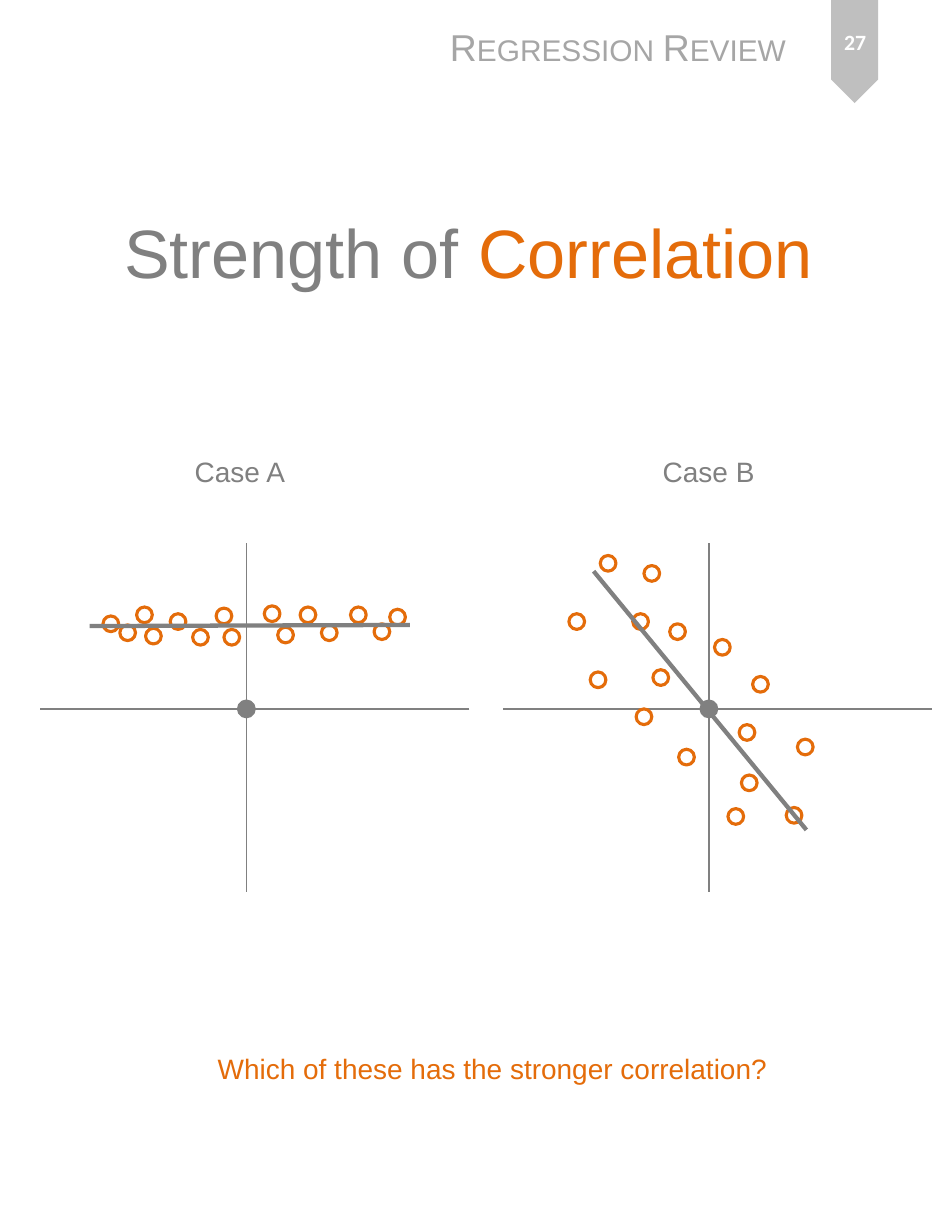
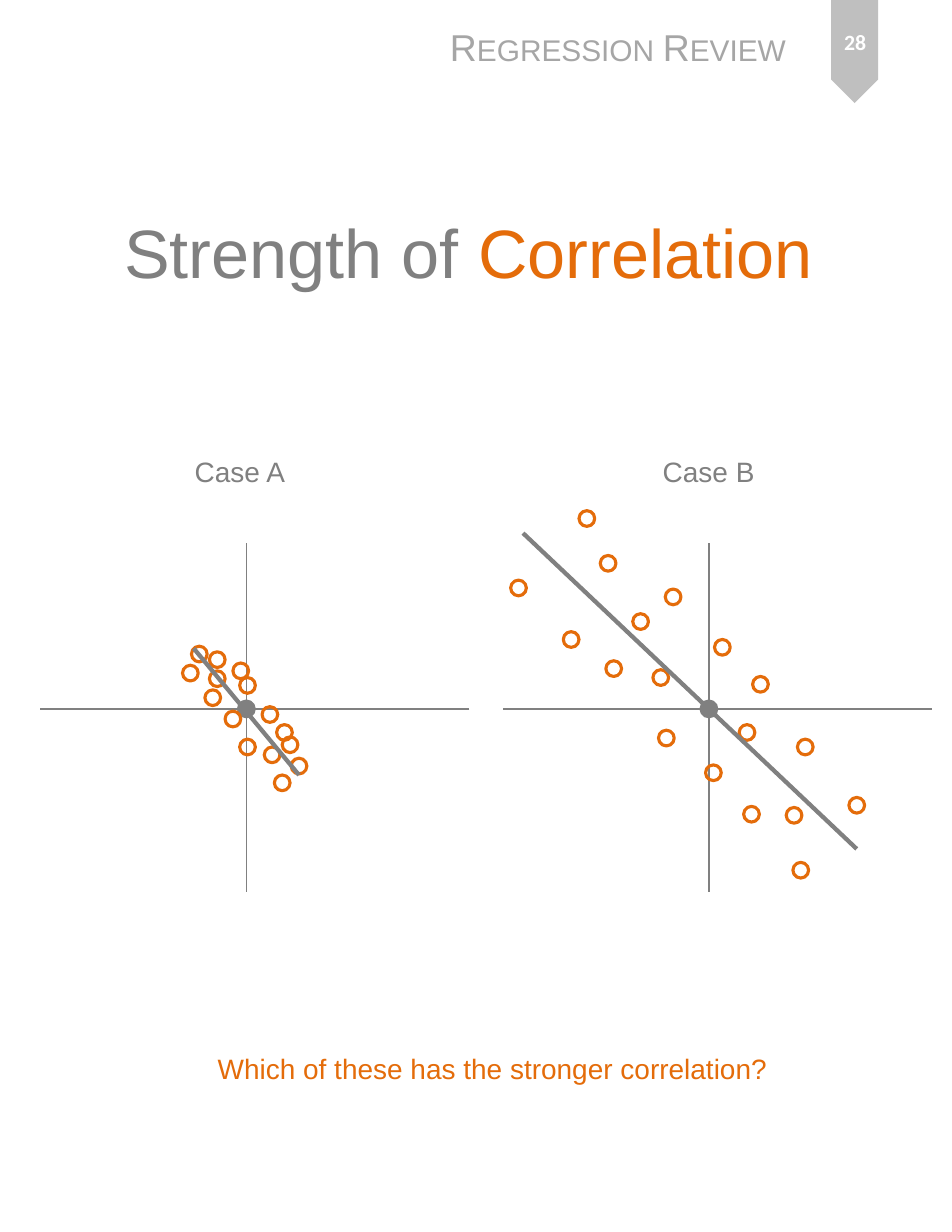
import dataclasses

import pptx
import pptx.dml.color
import pptx.enum.shapes
import pptx.enum.text
import pptx.oxml.ns
import pptx.util
from lxml import etree

Pt = pptx.util.Pt
SHAPE = pptx.enum.shapes.MSO_SHAPE
ALIGN = pptx.enum.text.PP_ALIGN
ANCHOR = pptx.enum.text.MSO_ANCHOR
FIT = pptx.enum.text.MSO_AUTO_SIZE


@dataclasses.dataclass(frozen=True)
class Theme:
    gray: str = "808080"
    orange: str = "E46C0A"
    header_gray: str = "A6A6A6"
    ribbon_gray: str = "BFBFBF"
    white: str = "FFFFFF"
    body_font: str = "Arial"
    number_font: str = "Calibri"
    title_size: float = 44
    header_size: float = 24
    label_size: float = 18
    number_size: float = 14
    axis_width: float = 0.75
    dot_width: float = 2
    trend_width: float = 2.75


UNIT = 0.72
DOT = 14
ORIGIN_Y = 455.76
AXES = [((0, 148), (0, -163)), ((199, 0), (-184, 0))]
CASES = [
    {"name": "Case A", "origin_x": 158.4, "label_box": (118.1, 288.7, 73.4, 28.8)},
    {"name": "Case B", "origin_x": 455.76, "label_box": (419, 288.7, 74.2, 28.8)},
]

SHARED_B = [(12, 55), (46, 22), (86, -34), (34, -21), (76, -95), (-43, 28),
            (-61, 78), (-90, 130)]
PAGES = {
    "27": [
        {"dots": [(-13, 64), (-41, 64), (100, 84), (35, 66), (23, 85), (-20, 83),
                  (-83, 65), (135, 82), (55, 84), (121, 69), (-106, 68), (-91, 84),
                  (-61, 78), (-121, 76), (74, 68)],
         "trend": ((-140, 74), (146, 75))},
        {"dots": SHARED_B + [(-20, -43), (-58, -7), (-99, 26), (-28, 69), (36, -66),
                             (-118, 78), (24, -96), (-51, 121)],
         "trend": ((-103, 123), (87, -108))},
    ],
    "28": [
        {"dots": [(-5, 34), (1, 21), (32, -66), (1, -34), (-12, -9), (-30, 10),
                  (-42, 49), (34, -21), (23, -41), (39, -32), (-26, 27), (-50, 32),
                  (21, -5), (-26, 44), (47, -51)],
         "trend": ((-47, 54), (47, -59))},
        {"dots": SHARED_B + [(-38, -26), (-85, 36), (-123, 62), (-32, 100), (4, -57),
                             (-170, 108), (38, -94), (-109, 170), (82, -144),
                             (132, -86)],
         "trend": ((-166, 157), (132, -125))},
    ],
}


def rgb(color):
    return pptx.dml.color.RGBColor.from_string(color)


def apply(target, **values):
    for name, value in values.items():
        setattr(target, name, value)


class Deck:
    """Holds the theme and the current slide, and draws each kind of element."""

    def __init__(self, theme):
        self.theme = theme
        self.presentation = pptx.Presentation()
        apply(self.presentation, slide_width=Pt(612), slide_height=Pt(792))
        self.slide = None

    def new_slide(self):
        blank = self.presentation.slide_layouts[6]
        self.slide = self.presentation.slides.add_slide(blank)

    def text(self, box, runs, size, font=None, align=ALIGN.LEFT, anchor=ANCHOR.TOP,
             wrap=True, fit=FIT.NONE, bold=False, small_caps=False):
        frame = self.slide.shapes.add_textbox(*map(Pt, box)).text_frame
        apply(frame, word_wrap=wrap, auto_size=fit, vertical_anchor=anchor)
        paragraph = frame.paragraphs[0]
        paragraph.alignment = align
        for words, color in runs:
            run = paragraph.add_run()
            run.text = words
            apply(run.font, name=font or self.theme.body_font, size=Pt(size), bold=bold)
            run.font.color.rgb = rgb(color)
            if small_caps:
                run.font._element.set("cap", "small")

    def shape(self, kind, box, fill=None, line=None, width=0, rotation=0):
        shape = self.slide.shapes.add_shape(kind, *map(Pt, box))
        shape.shadow.inherit = False
        shape.rotation = rotation
        if fill:
            shape.fill.solid()
            shape.fill.fore_color.rgb = rgb(fill)
        else:
            shape.fill.background()
        if line:
            shape.line.color.rgb = rgb(line)
            shape.line.width = Pt(width)
        else:
            shape.line.fill.background()

    def line(self, start, end, width):
        connector = self.slide.shapes.add_connector(
            pptx.enum.shapes.MSO_CONNECTOR.STRAIGHT, *map(Pt, (*start, *end)))
        connector.line.color.rgb = rgb(self.theme.gray)
        connector.line.width = Pt(width)
        etree.SubElement(connector._element.spPr, pptx.oxml.ns.qn("a:effectLst"))

    def frame(self, number):
        theme = self.theme
        self.shape(SHAPE.PENTAGON, (516.25, 18, 66.25, 30.25), theme.ribbon_gray,
                   rotation=90)
        self.text((25.9, 95.8, 550.8, 131.8),
                  [("Strength of ", theme.gray), ("Correlation", theme.orange)],
                  theme.title_size, align=ALIGN.CENTER, anchor=ANCHOR.MIDDLE)
        self.text((522.7, 5.8, 54, 42.5), [(number, theme.white)], theme.number_size,
                  theme.number_font, ALIGN.CENTER, ANCHOR.MIDDLE, bold=True)
        self.text((282.2, 12.2, 234, 36), [("Regression Review", theme.header_gray)],
                  theme.header_size, wrap=False, fit=FIT.SHAPE_TO_FIT_TEXT,
                  small_caps=True)

    def scatter(self, case, dots, trend):
        theme = self.theme

        def place(point):
            return case["origin_x"] + point[0] * UNIT, ORIGIN_Y - point[1] * UNIT

        def dot(point, line, fill=None):
            x, y = place(point)
            size = DOT * UNIT
            self.shape(SHAPE.OVAL, (x - size / 2, y - size / 2, size, size), fill,
                       line, theme.dot_width)

        for start, end in AXES:
            self.line(place(start), place(end), theme.axis_width)
        dot((0, 0), theme.gray, theme.gray)
        for point in dots:
            dot(point, theme.orange)
        self.line(*map(place, trend), theme.trend_width)
        self.text(case["label_box"], [(case["name"], theme.gray)], theme.label_size,
                  wrap=False, fit=FIT.SHAPE_TO_FIT_TEXT)

    def question(self, words):
        self.text((117.4, 672.5, 398.2, 28.8), [(words, self.theme.orange)],
                  self.theme.label_size, align=ALIGN.CENTER,
                  fit=FIT.SHAPE_TO_FIT_TEXT)


def main():
    deck = Deck(Theme())
    for number, plots in PAGES.items():
        deck.new_slide()
        deck.frame(number)
        for case, plot in zip(CASES, plots):
            deck.scatter(case, **plot)
        deck.question("Which of these has the stronger correlation?")
    deck.presentation.save("out.pptx")


if __name__ == "__main__":
    main()
